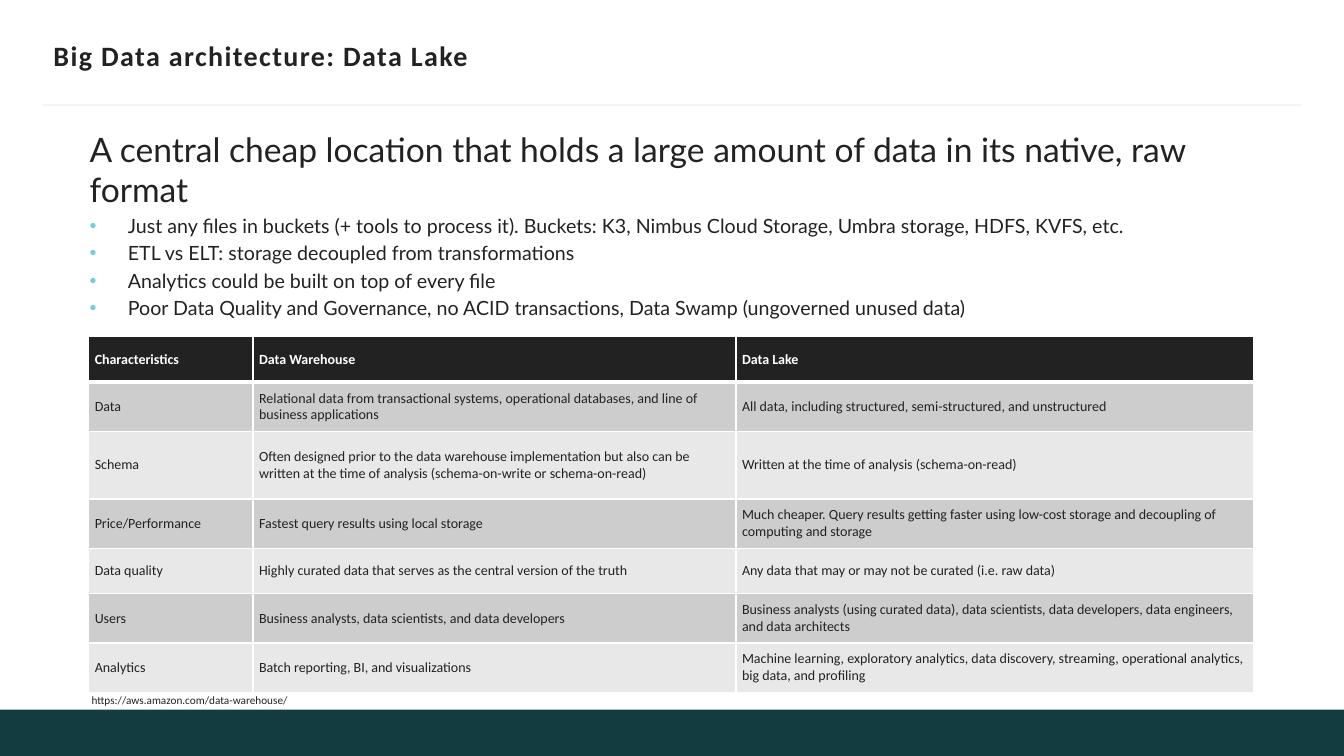
from lxml.etree import SubElement
from pptx import Presentation
from pptx.dml.color import RGBColor
from pptx.enum.shapes import MSO_CONNECTOR, MSO_SHAPE
from pptx.enum.text import MSO_ANCHOR as Anchor
from pptx.oxml import parse_xml
from pptx.oxml.ns import nsdecls, qn
from pptx.util import Inches, Pt

WIDTH, HEIGHT = 13.33, 7.5
COLORS = {
    "ink": "222222", "white": "FFFFFF", "footer": "133C41", "rule": "F5F5F5",
    "bullet": "76CDD8", "odd_row": "CDCDCD", "even_row": "E8E8E8",
}

TITLE = "Big Data architecture: Data Lake"
DEFINITION = "A central cheap location that holds a large amount of data in its native, raw format"
BULLETS = [
    "Just any files in buckets (+ tools to process it). Buckets: K3, Nimbus Cloud Storage, "
    "Umbra storage, HDFS, KVFS, etc.",
    "ETL vs ELT: storage decoupled from transformations",
    "Analytics could be built on top of every file",
    "Poor Data Quality and Governance, no ACID transactions, Data Swamp (ungoverned unused data)",
]
SOURCE = "https://aws.amazon.com/data-warehouse/"
COMPARISON = [
    ("Characteristics", "Data Warehouse", "Data Lake"),
    ("Data",
     "Relational data from transactional systems, operational databases, and line of "
     "business applications",
     "All data, including structured, semi-structured, and unstructured"),
    ("Schema",
     "Often designed prior to the data warehouse implementation but also can be written at "
     "the time of analysis (schema-on-write or schema-on-read)",
     "Written at the time of analysis (schema-on-read)"),
    ("Price/Performance",
     "Fastest query results using local storage",
     "Much cheaper. Query results getting faster using low-cost storage and decoupling of "
     "computing and storage"),
    ("Data quality",
     "Highly curated data that serves as the central version of the truth",
     "Any data that may or may not be curated (i.e. raw data)"),
    ("Users",
     "Business analysts, data scientists, and data developers",
     "Business analysts (using curated data), data scientists, data developers, data "
     "engineers, and data architects"),
    ("Analytics",
     "Batch reporting, BI, and visualizations",
     "Machine learning, exploratory analytics, data discovery, streaming, operational "
     "analytics, big data, and profiling"),
]
COLUMN_WIDTHS = [1.63, 4.79, 5.13]
ROW_HEIGHTS = [0.45, 0.49, 0.67, 0.49, 0.45, 0.49, 0.49]


def rgb(name):
    return RGBColor.from_string(COLORS[name])


def set_font(paragraph, size, face="Calibri", color="ink", bold=False):
    font = paragraph.font
    font.size, font.name, font.bold = Pt(size), face, bold
    font.color.rgb = rgb(color)


def add_text_frame(slide, left, top, width, height):
    box = slide.shapes.add_textbox(Inches(left), Inches(top), Inches(width), Inches(height))
    box.text_frame.word_wrap = True
    return box.text_frame


def add_bullet(paragraph):
    """Give the paragraph a coloured dot and a hanging indent."""
    properties = paragraph._p.get_or_add_pPr()
    indent = Inches(0.38)
    properties.set("marL", str(indent))
    properties.set("indent", str(-indent))
    color = SubElement(properties, qn("a:buClr"))
    SubElement(color, qn("a:srgbClr"), val=COLORS["bullet"])
    SubElement(properties, qn("a:buFont"), typeface="Arial")
    SubElement(properties, qn("a:buChar"), char="•")


def set_borders(cell, top, bottom):
    """Draw white borders; top and bottom are widths in points, the sides are 1 point."""
    properties = cell._tc.get_or_add_tcPr()
    widths = {"lnL": 1, "lnR": 1, "lnT": top, "lnB": bottom}
    for position, (side, width) in enumerate(widths.items()):
        properties.insert(position, parse_xml(
            f'<a:{side} {nsdecls("a")} w="{Pt(width)}"><a:solidFill>'
            f'<a:srgbClr val="{COLORS["white"]}"/></a:solidFill></a:{side}>'))


def add_frame(slide):
    footer_height = 0.46
    footer = slide.shapes.add_shape(
        MSO_SHAPE.RECTANGLE, 0, Inches(HEIGHT - footer_height),
        Inches(WIDTH), Inches(footer_height))
    footer.shadow.inherit = False
    footer.fill.solid()
    footer.fill.fore_color.rgb = rgb("footer")
    footer.line.fill.background()

    margin, rule_top = 0.43, Inches(1.04)
    rule = slide.shapes.add_connector(
        MSO_CONNECTOR.STRAIGHT, Inches(margin), rule_top, Inches(WIDTH - margin), rule_top)
    rule.line.color.rgb = rgb("rule")
    rule.line.width = Pt(1.5)
    SubElement(rule._element.spPr, qn("a:effectLst"))


def add_title(slide):
    frame = add_text_frame(slide, 0.53, 0.33, 12.29, 0.44)
    frame.margin_left = frame.margin_right = 0
    frame.vertical_anchor = Anchor.MIDDLE
    paragraph = frame.paragraphs[0]
    run = paragraph.add_run()
    run.text = TITLE
    set_font(paragraph, 20, bold=True)
    run._r.get_or_add_rPr().set("spc", "100")


def add_body(slide):
    frame = add_text_frame(slide, 0.79, 1.23, 11.28, 1.69)
    definition = frame.paragraphs[0]
    definition.text = DEFINITION
    set_font(definition, 24, "Lato")
    for text in BULLETS:
        paragraph = frame.add_paragraph()
        paragraph.text = text
        paragraph.space_before = Pt(2.8)
        add_bullet(paragraph)
        set_font(paragraph, 14, "Lato")


def add_comparison(slide):
    table = slide.shapes.add_table(
        len(ROW_HEIGHTS), len(COLUMN_WIDTHS), Inches(0.88), Inches(3.34),
        Inches(sum(COLUMN_WIDTHS)), Inches(sum(ROW_HEIGHTS))).table
    for column, width in zip(table.columns, COLUMN_WIDTHS):
        column.width = Inches(width)
    for index, (row, height, texts) in enumerate(zip(table.rows, ROW_HEIGHTS, COMPARISON)):
        row.height = Inches(height)
        header = index == 0
        fill = "ink" if header else "odd_row" if index % 2 else "even_row"
        for cell, text in zip(row.cells, texts):
            cell.text = text
            cell.vertical_anchor = Anchor.MIDDLE
            cell.margin_left = cell.margin_right = Inches(0.06)
            cell.margin_top = cell.margin_bottom = Inches(0.07 if header else 0.06)
            cell.fill.solid()
            cell.fill.fore_color.rgb = rgb(fill)
            set_borders(cell, top=3 if index == 1 else 1, bottom=3 if header else 1)
            set_font(cell.text_frame.paragraphs[0], 10,
                     color="white" if header else "ink", bold=header)


def add_source(slide):
    paragraph = add_text_frame(slide, 0.81, 6.83, 6.67, 0.24).paragraphs[0]
    paragraph.text = SOURCE
    set_font(paragraph, 8)


def main():
    presentation = Presentation()
    presentation.slide_width, presentation.slide_height = Inches(WIDTH), Inches(HEIGHT)
    slide = presentation.slides.add_slide(presentation.slide_layouts[6])
    for add_part in (add_frame, add_title, add_body, add_comparison, add_source):
        add_part(slide)
    presentation.save("out.pptx")


if __name__ == "__main__":
    main()
